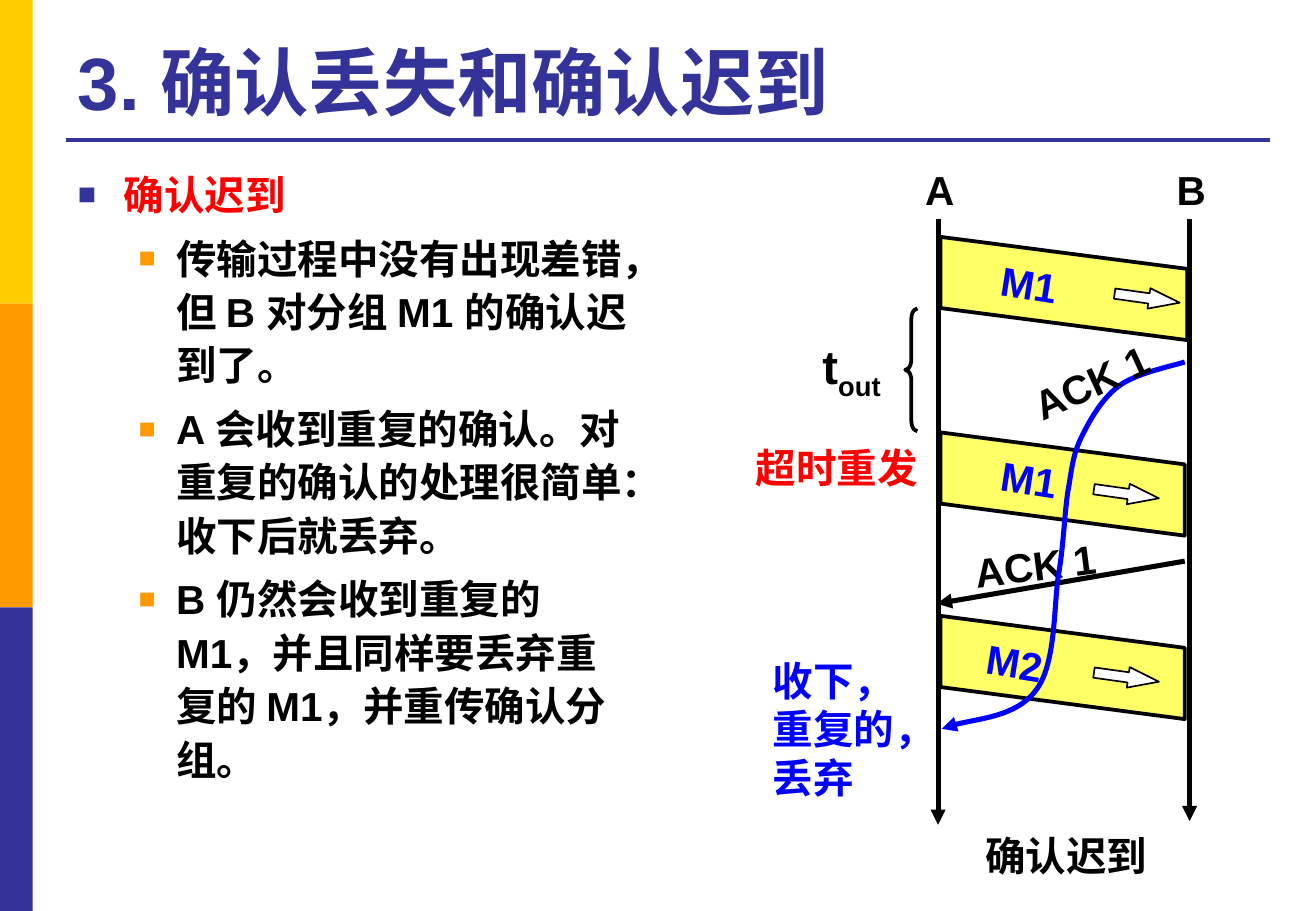
import lxml.etree
import pptx
import pptx.dml.color
import pptx.enum.shapes
import pptx.enum.text
import pptx.oxml.ns
import pptx.util

SHAPE = pptx.enum.shapes.MSO_SHAPE
ANCHOR = pptx.enum.text.MSO_ANCHOR
FIT = pptx.enum.text.MSO_AUTO_SIZE
LEFT = pptx.enum.text.PP_ALIGN.LEFT
qn = pptx.oxml.ns.qn

COLORS = {
    "gold": "FFCC00", "orange": "FF9900", "navy": "333399", "black": "000000",
    "white": "FFFFFF", "red": "FF0000", "blue": "0000FF", "packet": "FFFF66",
}
COLS, ROWS = 108.3, 75


def cell(n):
    return pptx.util.Inches(n / 10)


def rgb(name):
    return pptx.dml.color.RGBColor.from_string(COLORS[name])


def sub(parent, tag, **attrs):
    return lxml.etree.SubElement(parent, qn(tag), **attrs)


def write(tf, text, size=24, color="black", subscript="", level=0, spacing=None, before=0):
    p = tf.add_paragraph() if tf.text else tf.paragraphs[0]
    p.alignment, p.level, p.line_spacing = LEFT, level, spacing
    p.space_before = pptx.util.Pt(before)
    for part in filter(None, (text, subscript)):
        r = p.add_run()
        r.text = part
        r.font.name, r.font.size, r.font.bold = "Arial", pptx.util.Pt(size), True
        r.font.color.rgb = rgb(color)
        if part == subscript:
            r.font._element.set("baseline", "-25000")
    return p


def place(sp, x, y, w, h):
    sp.left, sp.top, sp.width, sp.height = map(cell, (x, y, w, h))


def paint(sp, fill=None, line=None, width=1):
    sp.shadow.inherit = False
    if fill:
        sp.fill.solid()
        sp.fill.fore_color.rgb = rgb(fill)
    else:
        sp.fill.background()
    if line:
        sp.line.color.rgb = rgb(line)
        sp.line.width = pptx.util.Pt(width)
    else:
        sp.line.fill.background()
    return sp


def shape(s, kind, x, y, w, h, **look):
    return paint(s.shapes.add_shape(kind, *map(cell, (x, y, w, h))), **look)


def outline(s, points, closed, **look):
    points = [(cell(x), cell(y)) for x, y in points]
    fb = s.shapes.build_freeform(*points[0])
    fb.add_line_segments(points[1:], close=closed)
    return paint(fb.convert_to_shape(), **look)


def arrowhead(sp):
    sub(sp.line._get_or_add_ln(), "a:tailEnd", type="triangle")


def line(s, x1, y1, x2, y2, color="black", width=3, arrow=True):
    c = s.shapes.add_connector(pptx.enum.shapes.MSO_CONNECTOR.STRAIGHT,
                               *map(cell, (x1, y1, x2, y2)))
    c.line.color.rgb = rgb(color)
    c.line.width = pptx.util.Pt(width)
    if arrow:
        arrowhead(c)
    sub(c._element.spPr, "a:effectLst")


def label(s, x, y, w, h, *texts, rotation=0, wrap=False, **fmt):
    sp = s.shapes.add_textbox(*map(cell, (x, y, w, h)))
    sp.rotation = rotation
    tf = sp.text_frame
    tf.word_wrap, tf.auto_size = wrap, FIT.SHAPE_TO_FIT_TEXT
    for text in texts:
        write(tf, text, **fmt)


def sidebar(s, x, y, w, h):
    bands = ("gold", "orange", "navy")
    for i, color in enumerate(bands):
        shape(s, SHAPE.RECTANGLE, x, y + i * h / len(bands), w, h / len(bands), fill=color)


def heading(s, x, y, w, h):
    line(s, x, y + h + 0.7, x + w, y + h + 0.7, color="navy", width=2.25, arrow=False)
    title = s.shapes.title
    place(title, x, y, w, h)
    tf = title.text_frame
    tf.vertical_anchor, tf.auto_size = ANCHOR.BOTTOM, FIT.NONE
    write(tf, "3. 确认丢失和确认迟到", size=44, color="navy")


def bullets(s, x, y, w, h):
    body = s.placeholders[1]
    place(body, x, y, w, h)
    tf = body.text_frame
    tf.auto_size = FIT.NONE
    styles = (("red", "navy", 3.8, 3.8, 75), ("black", "orange", 8.1, 3.1, 70))
    items = (
        (0, "确认迟到"),
        (1, "传输过程中没有出现差错，但 B 对分组 M1 的确认迟到了。"),
        (1, "A 会收到重复的确认。对重复的确认的处理很简单：收下后就丢弃。"),
        (1, "B 仍然会收到重复的 M1，并且同样要丢弃重复的 M1，并重传确认分组。"),
    )
    for level, text in items:
        color, mark, margin, hang, percent = styles[level]
        p = write(tf, text, color=color, level=level, spacing=1.1, before=6)
        pPr = p._p.get_or_add_pPr()
        pPr.set("marL", str(cell(margin)))
        pPr.set("indent", str(-cell(hang)))
        sub(sub(pPr, "a:buClr"), "a:srgbClr", val=COLORS[mark])
        sub(pPr, "a:buSzPct", val=str(percent * 1000))
        sub(pPr, "a:buFont", typeface="Arial")
        sub(pPr, "a:buChar", char="■")


def packet(s, x, y, w, h, text, text_dx, arrow_dx):
    corners = ((0, 0), (1, 0.31), (1, 1), (0, 0.69))
    outline(s, [(x + a * w, y + b * h) for a, b in corners], True,
            fill="packet", line="black", width=2.25)
    arrow = shape(s, SHAPE.RIGHT_ARROW, x + arrow_dx, y + 4.2, 5.4, 1.7,
                  fill="white", line="black")
    arrow.rotation = 8
    arrow.adjustments[1] = 1.5
    label(s, x + text_dx, y + 1.35, 6.7, 5, text, rotation=9, color="blue")


def late_ack(s, x, y):
    points = (
        (36.5, 16.8),
        (35.6, 17.1), (32.6, 17.7), (31.2, 18.7),
        (29.9, 19.6), (28.9, 21.2), (28.2, 22.6),
        (27.5, 23.9), (27.3, 24.8), (27, 26.8),
        (26.6, 28.8), (26.6, 31.5), (26.1, 34.4),
        (25.7, 37.2), (25.9, 41.8), (24.2, 43.9),
        (22.6, 46), (18.1, 46.3), (16.5, 47),
    )
    sp = outline(s, [(x + a, y + b) for a, b in points], False, line="blue", width=3)
    arrowhead(sp)
    path = next(sp._element.iter(qn("a:path")))
    steps = path.findall(qn("a:lnTo"))
    for i in range(0, len(steps), 3):
        curve = sub(path, "a:cubicBezTo")
        for step in steps[i:i + 3]:
            curve.append(step[0])
            path.remove(step)


def timeline(s, x, y, w, h):
    for name, dx, length in (("A", 16.2, 49.9), ("B", 36.9, 49.6)):
        line(s, x + dx, y + 5, x + dx, y + 5 + length)
        label(s, x + dx - 2.05, y + 0.1, 4.4, 5, name)
    for text, dy, width, text_dx, arrow_dx in (
        ("M1", 6.5, 20.3, 4, 14.3),
        ("M1", 22.6, 20.1, 4, 12.6),
        ("M2", 37.7, 20.1, 2.8, 12.6),
    ):
        packet(s, x + 16.4, y + dy, width, 8.5, text, text_dx, arrow_dx)
    line(s, x + 36.5, y + 33.2, x + 16.1, y + 36.7)
    label(s, x + 18.2, y + 31, 12.1, 5.1, "ACK 1", rotation=-7.2)
    label(s, x + 0.2, y + 23, 15.4, 5, "超时重发", color="red")
    brace = shape(s, SHAPE.LEFT_BRACE, x + 13.5, y + 12.4, 1, 10.1, line="black", width=2.25)
    brace.adjustments[0] = 0.87
    label(s, x + 5.7, y + 14.3, 7.4, 5.7, "t", subscript="out", size=28)
    label(s, x + 1.6, y + 40.5, 16.4, 13.1, "收下，", "重复的，", "丢弃", wrap=True, color="blue")
    late_ack(s, x, y)
    label(s, x + 22.8, y + 15.9, 12.1, 5, "ACK 1", rotation=-24.7)
    label(s, x + 19.1, y + h - 5, 15.6, 5, "确认迟到")


def main():
    prs = pptx.Presentation()
    prs.slide_width, prs.slide_height = cell(COLS), cell(ROWS)
    s = prs.slides.add_slide(prs.slide_layouts[1])
    sidebar(s, 0, 0, 2.7, ROWS)
    heading(s, 5.4, 2.1, 99.1, 8.7)
    bullets(s, 5.4, 13.1, 47.6, 54)
    timeline(s, 61, 13, 40, 59.9)
    prs.save("out.pptx")


if __name__ == "__main__":
    main()
